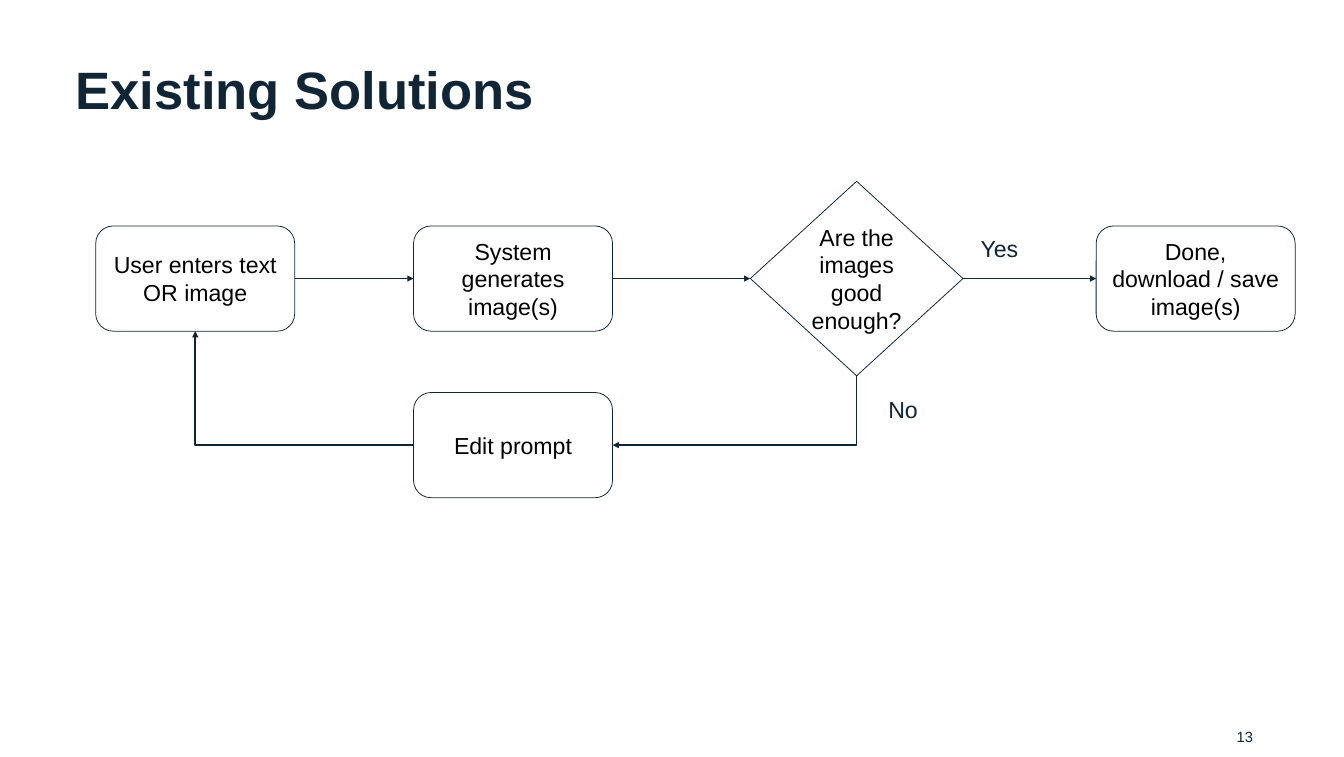
from dataclasses import dataclass

from lxml.etree import SubElement
from pptx import Presentation
from pptx.dml.color import RGBColor
from pptx.enum.shapes import MSO_CONNECTOR, MSO_SHAPE
from pptx.enum.text import MSO_ANCHOR, MSO_AUTO_SIZE, PP_ALIGN
from pptx.oxml.ns import qn
from pptx.util import Inches, Pt


@dataclass(frozen=True)
class Theme:
    font: str = "Arial"
    ink: RGBColor = RGBColor(0x10, 0x25, 0x35)
    black: RGBColor = RGBColor(0, 0, 0)
    white: RGBColor = RGBColor(255, 255, 255)
    title_size: float = 50
    body_size: float = 22
    number_size: float = 14
    outline: float = 0.75
    arrow: float = 1.5


THEME = Theme()
TOP, LEFT, BOTTOM, RIGHT = range(4)

STEP_WIDTH, STEP_HEIGHT = 2.63, 1.39
DECISION_WIDTH, DECISION_HEIGHT = 2.81, 2.57
COLUMNS = (2.58, 6.78, 11.32, 15.8)  # centres across
ROWS = (3.68, 5.88)  # centres down


def write_text(shape, text, size=THEME.body_size, color=THEME.ink, bold=False,
               align=PP_ALIGN.LEFT, anchor=MSO_ANCHOR.TOP, inset=0.1, spacing=None):
    frame = shape.text_frame
    frame.text = text
    frame.word_wrap = True
    frame.auto_size = MSO_AUTO_SIZE.NONE
    frame.vertical_anchor = anchor
    frame.margin_left = frame.margin_right = Inches(inset)
    frame.margin_top = frame.margin_bottom = Inches(inset)
    para = frame.paragraphs[0]
    para.alignment = align
    para.line_spacing = spacing
    para.font.name = THEME.font
    para.font.size = Pt(size)
    para.font.bold = bold
    para.font.color.rgb = color


def add_title(page, text):
    title = page.shapes.title
    title.left, title.top = Inches(1), Inches(0.59)
    title.width, title.height = Inches(15.55), Inches(1.22)
    write_text(title, text, size=THEME.title_size, bold=True, inset=0, spacing=1.2)


def add_label(page, text, left, top, width, height, **text_format):
    box = page.shapes.add_textbox(*map(Inches, (left, top, width, height)))
    write_text(box, text, **text_format)


def add_node(page, kind, text, column, row, width, height):
    """Add a flowchart node centred on a grid position."""
    left, top = COLUMNS[column] - width / 2, ROWS[row] - height / 2
    node = page.shapes.add_shape(kind, *map(Inches, (left, top, width, height)))
    node.shadow.inherit = False
    node.fill.solid()
    node.fill.fore_color.rgb = THEME.white
    node.line.color.rgb = THEME.ink
    node.line.width = Pt(THEME.outline)
    write_text(node, text, color=THEME.black, align=PP_ALIGN.CENTER,
               anchor=MSO_ANCHOR.MIDDLE)
    return node


def add_step(page, text, column, row=0):
    return add_node(page, MSO_SHAPE.ROUNDED_RECTANGLE, text, column, row,
                    STEP_WIDTH, STEP_HEIGHT)


def add_arrow(page, source, source_side, target, target_side,
              kind=MSO_CONNECTOR.STRAIGHT):
    arrow = page.shapes.add_connector(kind, 0, 0, 0, 0)
    arrow.begin_connect(source, source_side)
    arrow.end_connect(target, target_side)
    arrow.line.color.rgb = THEME.ink
    arrow.line.width = Pt(THEME.arrow)
    properties = arrow.element.spPr
    SubElement(properties.find(qn("a:ln")), qn("a:tailEnd"), type="triangle")
    SubElement(properties, qn("a:effectLst"))
    return arrow


def add_corner_arrow(page, source, source_side, target, target_side, turns):
    """Add a one-bend arrow; turns counts clockwise quarter turns of right-then-down."""
    arrow = add_arrow(page, source, source_side, target, target_side,
                      MSO_CONNECTOR.ELBOW)
    left, top, width, height = arrow.left, arrow.top, arrow.width, arrow.height
    properties = arrow.element.spPr
    properties.find(qn("a:prstGeom")).set("prst", "bentConnector2")
    transform = properties.find(qn("a:xfrm"))
    for flip in ("flipH", "flipV"):
        transform.attrib.pop(flip, None)
    transform.set("rot", str(turns * 90 * 60000))
    if turns % 2:  # an odd turn swaps the sides about the same centre
        shift = (width - height) // 2
        arrow.left, arrow.top = left + shift, top - shift
        arrow.width, arrow.height = height, width


def add_flowchart(page):
    enter = add_step(page, "User enters text OR image", 0)
    generate = add_step(page, "System generates image(s)", 1)
    decide = add_node(page, MSO_SHAPE.DIAMOND, "Are the images good enough?", 2, 0,
                      DECISION_WIDTH, DECISION_HEIGHT)
    done = add_step(page, "Done, download / save image(s)", 3)
    edit = add_step(page, "Edit prompt", 1, row=1)

    for source, target in ((enter, generate), (generate, decide), (decide, done)):
        add_arrow(page, source, RIGHT, target, LEFT)
    add_corner_arrow(page, decide, BOTTOM, edit, RIGHT, turns=1)
    add_corner_arrow(page, edit, LEFT, enter, BOTTOM, turns=2)

    add_label(page, "Yes", 12.86, 2.99, 0.86, 0.58)
    add_label(page, "No", 11.64, 5.12, 0.63, 0.58)


def main():
    deck = Presentation()
    deck.slide_width, deck.slide_height = Inches(17.76), Inches(10)
    page = deck.slides.add_slide(deck.slide_layouts.get_by_name("Title Only"))
    add_title(page, "Existing Solutions")
    add_flowchart(page)
    add_label(page, "13", 12.56, 9.61, 4, 0.37, size=THEME.number_size,
              align=PP_ALIGN.RIGHT, inset=0)
    deck.save("out.pptx")


if __name__ == "__main__":
    main()
